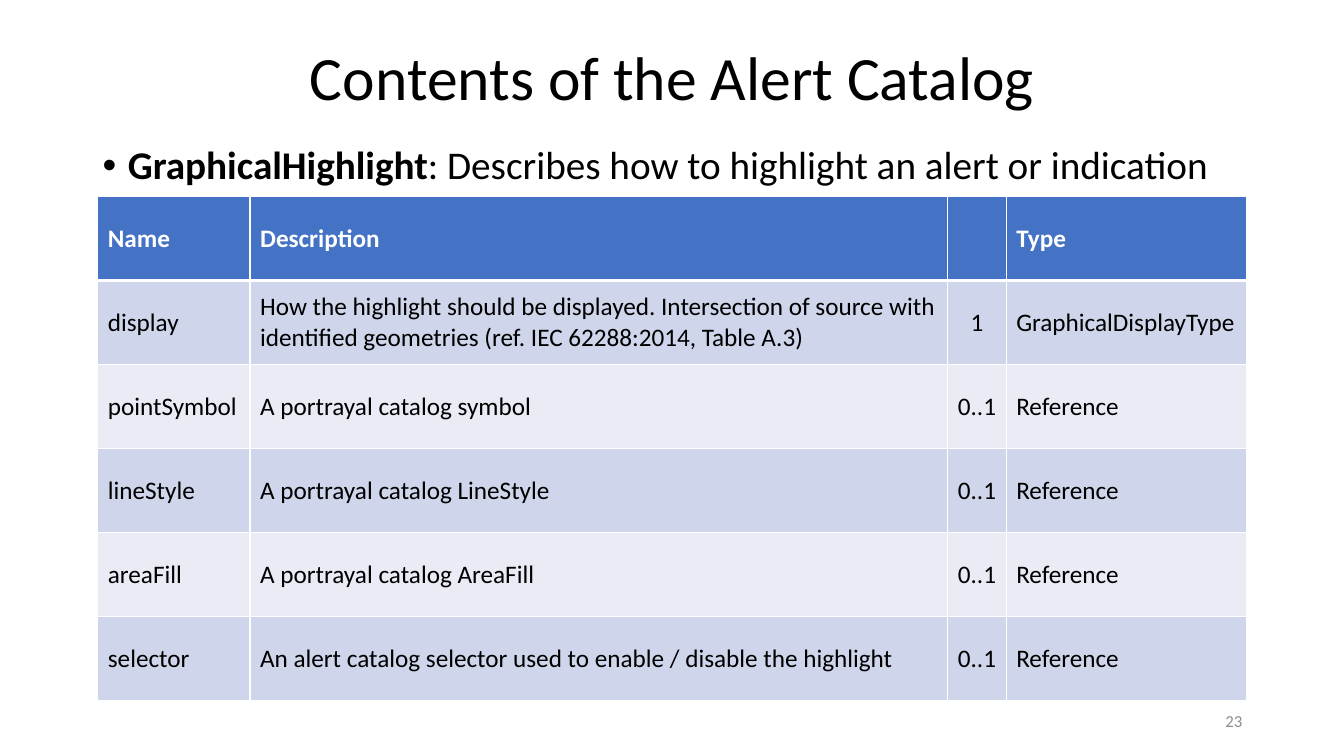
from dataclasses import dataclass, field
from typing import Any

import lxml.etree
import pptx
import pptx.dml.color
import pptx.enum.text
import pptx.oxml
import pptx.oxml.ns
import pptx.util

Inches = pptx.util.Inches
ALIGN = pptx.enum.text.PP_ALIGN
ANCHOR = pptx.enum.text.MSO_ANCHOR
FONT = "Calibri"
BLACK, WHITE, GRAY = "000000", "FFFFFF", "8C8C8C"
HEADER_FILL = "4472C4"
BAND_FILLS = ("CFD5EA", "E9EBF5")
COLUMN_WIDTHS = (1.51, 6.92, 0.58, 2.38)
MULTIPLICITY_COLUMN = 2
TABLE_HEIGHT = 5
ROWS = (
    ("Name", "Description", "", "Type"),
    ("display",
     "How the highlight should be displayed. Intersection of source with "
     "identified geometries (ref. IEC 62288:2014, Table A.3)",
     "1", "GraphicalDisplayType"),
    ("pointSymbol", "A portrayal catalog symbol", "0..1", "Reference"),
    ("lineStyle", "A portrayal catalog LineStyle", "0..1", "Reference"),
    ("areaFill", "A portrayal catalog AreaFill", "0..1", "Reference"),
    ("selector", "An alert catalog selector used to enable / disable the highlight",
     "0..1", "Reference"),
)


@dataclass(frozen=True)
class Run:
    text: str
    bold: bool = False


@dataclass(frozen=True)
class TextBlock:
    box: tuple[float, float, float, float]
    runs: tuple[Run, ...]
    size: int
    color: str = BLACK
    bullet: bool = False
    anchor: Any = ANCHOR.MIDDLE
    paragraph_format: dict[str, Any] = field(default_factory=dict)


TEXT_BLOCKS = (
    TextBlock((0.92, 1.4, 11.5, 0.55),
              (Run("GraphicalHighlight", True),
               Run(": Describes how to highlight an alert or indication")),
              28, bullet=True, anchor=ANCHOR.TOP,
              paragraph_format={"line_spacing": 0.9}),
    TextBlock((9.42, 6.95, 3, 0.4), (Run("23"),), 12, GRAY,
              paragraph_format={"alignment": ALIGN.RIGHT}),
    TextBlock((0.92, 0.4, 11.5, 0.79), (Run("Contents of the Alert Catalog"),), 44,
              paragraph_format={"alignment": ALIGN.CENTER, "line_spacing": 0.9}),
)


def rgb(color: str) -> pptx.dml.color.RGBColor:
    return pptx.dml.color.RGBColor.from_string(color)


def apply_format(target: Any, values: dict[str, Any]) -> None:
    for name, value in values.items():
        setattr(target, name, value)


def add_run(paragraph: Any, run: Run, size: int, color: str) -> None:
    text_run = paragraph.add_run()
    text_run.text = run.text
    apply_format(text_run.font, {"name": FONT, "size": pptx.util.Pt(size), "bold": run.bold})
    text_run.font.color.rgb = rgb(color)


def add_bullet(paragraph: Any) -> None:
    properties = paragraph._p.get_or_add_pPr()
    properties.set("marL", str(Inches(0.25)))
    properties.set("indent", str(Inches(-0.25)))
    bullet_font = lxml.etree.SubElement(properties, pptx.oxml.ns.qn("a:buFont"))
    bullet_font.set("typeface", "Arial")
    bullet = lxml.etree.SubElement(properties, pptx.oxml.ns.qn("a:buChar"))
    bullet.set("char", "•")


def add_text(slide: Any, block: TextBlock) -> None:
    shape = slide.shapes.add_textbox(*map(Inches, block.box))
    apply_format(shape.text_frame, {"word_wrap": True, "vertical_anchor": block.anchor})
    paragraph = shape.text_frame.paragraphs[0]
    if block.bullet:
        add_bullet(paragraph)
    apply_format(paragraph, block.paragraph_format)
    for run in block.runs:
        add_run(paragraph, run, block.size, block.color)


def add_borders(cell: Any, widths: dict[str, int]) -> None:
    properties = cell._tc.get_or_add_tcPr()
    for side, width in widths.items():
        properties.append(pptx.oxml.parse_xml(
            f'<a:ln{side} {pptx.oxml.ns.nsdecls("a")} w="{pptx.util.Pt(width)}">'
            f'<a:solidFill><a:srgbClr val="{WHITE}"/></a:solidFill></a:ln{side}>'))


def fill_cell(cell: Any, text: str, row: int, column: int) -> None:
    is_header = row == 0
    add_borders(cell, {"L": 1, "R": 1, "T": 3 if row == 1 else 1, "B": 3 if is_header else 1})
    cell.fill.solid()
    cell.fill.fore_color.rgb = rgb(HEADER_FILL if is_header else BAND_FILLS[(row - 1) % 2])
    cell.vertical_anchor = ANCHOR.MIDDLE
    paragraph = cell.text_frame.paragraphs[0]
    if column == MULTIPLICITY_COLUMN:
        apply_format(cell, {"margin_left": Inches(0.05), "margin_right": Inches(0.05)})
        paragraph.alignment = ALIGN.CENTER
    if text:
        add_run(paragraph, Run(text, is_header), 18, WHITE if is_header else BLACK)


def add_attribute_table(slide: Any) -> None:
    table = slide.shapes.add_table(
        len(ROWS), len(COLUMN_WIDTHS), Inches(0.97), Inches(1.95),
        Inches(sum(COLUMN_WIDTHS)), Inches(TABLE_HEIGHT)).table
    for column, width in zip(table.columns, COLUMN_WIDTHS):
        column.width = Inches(width)
    for row_index, texts in enumerate(ROWS):
        table.rows[row_index].height = Inches(TABLE_HEIGHT / len(ROWS))
        for column_index, text in enumerate(texts):
            fill_cell(table.cell(row_index, column_index), text, row_index, column_index)


def main() -> None:
    presentation = pptx.Presentation()
    apply_format(presentation, {"slide_width": Inches(13.33), "slide_height": Inches(7.5)})
    slide = presentation.slides.add_slide(presentation.slide_layouts[6])
    for block in TEXT_BLOCKS:
        add_text(slide, block)
    add_attribute_table(slide)
    presentation.save("out.pptx")


if __name__ == "__main__":
    main()
